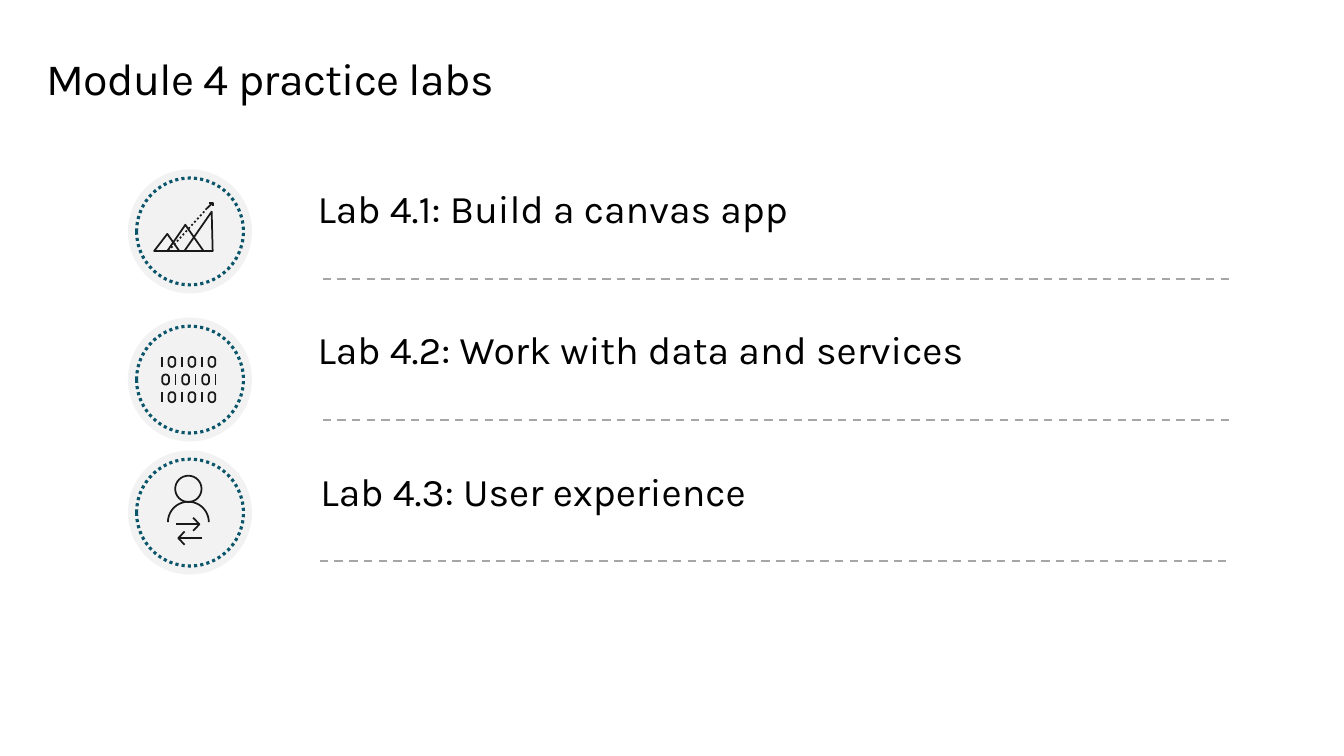
from math import cos, pi, sin

from lxml import etree
from pptx import Presentation
from pptx.dml.color import RGBColor
from pptx.enum.dml import MSO_LINE
from pptx.enum.shapes import MSO_CONNECTOR, MSO_SHAPE
from pptx.enum.text import MSO_ANCHOR
from pptx.oxml.ns import qn
from pptx.util import Pt

DASH, DOTS = MSO_LINE.DASH, MSO_LINE.ROUND_DOT
STRAIGHT, OVAL = MSO_CONNECTOR.STRAIGHT, MSO_SHAPE.OVAL
TOP, MIDDLE = MSO_ANCHOR.TOP, MSO_ANCHOR.MIDDLE
BLACK, GREY, PALE, TEAL, INK = "000000", "A6A6A6", "F2F2F2", "0B556A", "191919"
BADGE, RING, RING_INSET = 88.6, 76.3, 6.2
UNITS = 100


def color(value):
    return RGBColor.from_string(value)


def set_all(target, values):
    for name, value in values.items():
        setattr(target, name, value)


def style_line(line, value, width, dash=None):
    line.color.rgb = color(value)
    set_all(line, {"width": Pt(width), "dash_style": dash})


def add_text(s, box, text, size, anchor, insets=(0, 0, 0, 0)):
    tf = s.shapes.add_textbox(*map(Pt, box)).text_frame
    left, top, right, bottom = map(Pt, insets)
    set_all(tf, {"word_wrap": True, "vertical_anchor": anchor,
                 "margin_left": left, "margin_top": top,
                 "margin_right": right, "margin_bottom": bottom})
    p = tf.paragraphs[0]
    r = p.add_run()
    r.text = text
    set_all(r.font, {"name": "Karla", "size": Pt(size)})
    r.font.color.rgb = color(BLACK)
    return p, r


def add_title(s, box, text):
    p, r = add_text(s, box, text, 32, TOP, (0, 7.2, 11.5, 7.2))
    p.line_spacing = 0.9
    r.font._element.set("spc", "-50")


def arc(cx, cy, radius, start, end, steps=32):
    angles = [start + (end - start) * i / steps for i in range(steps + 1)]
    return [(cx + radius * cos(a), cy + radius * sin(a)) for a in angles]


def chart_icon():
    base = 58.3
    strokes = [[(left, base), peak, (right, base), (left, base)]
               for left, peak, right in ((18.7, (28.1, 46.1), 36.7),
                                         (28.1, (41, 39.6), 54),
                                         (40.3, (59.8, 30.2), 60.5))]
    for i in range(13):
        x, y = 28.8 + 2.07 * i, base - 2.27 * i
        strokes.append([(x, y), (x + 0.9, y - 1.05)])
    tip = (60.5, 23.8)
    return strokes + [[(60.5, 25.9), tip, (57.6, 23.8)], [tip, (55.4, 28.8)]]


def binary_icon():
    left, top, height, radius = 24.5, 28.1, 7.2, 2.4
    strokes = []
    for row, digits in enumerate(("101010", "010101", "101010")):
        y = top + 12.6 * row
        for col, digit in enumerate(digits):
            x = left + 14.3 * (col // 2)
            if digit == "1":
                x += 9.4 * (col % 2)
                strokes.append([(x, y), (x, y + height)])
            else:
                cx = x + radius + 4.5 * (col % 2)
                zero = (arc(cx, y + radius, radius, pi, 2 * pi, 12)
                        + arc(cx, y + height - radius, radius, 0, pi, 12))
                strokes.append(zero + zero[:1])
    return strokes


def user_icon():
    cx = 43.2
    strokes = [arc(cx, 27.4, 9.4, 0, 2 * pi), arc(cx, 51.2, 14.6, pi, 2 * pi)]
    for tail, tip, barb, y in ((34.6, 51.1, 46.6, 52.7), (52.6, 36, 40.5, 62.6)):
        strokes += [[(tail, y), (tip, y)],
                    [(barb, y - 4.7), (tip, y), (barb, y + 4.7)]]
    return strokes


def add_icon(s, left, top, strokes):
    placed = [[((left + x) * UNITS, (top + y) * UNITS) for x, y in stroke]
              for stroke in strokes]
    builder = s.shapes.build_freeform(*placed[0][0], scale=Pt(1) / UNITS)
    for i, (start, *rest) in enumerate(placed):
        if i:
            builder.move_to(*start)
        builder.add_line_segments(rest, close=False)
    sp = builder.convert_to_shape()
    sp.shadow.inherit = False
    sp.fill.background()
    style_line(sp.line, INK, 1.25)


def add_badge(s, left, top, strokes):
    group = s.shapes.add_group_shape()
    for inset, size in ((0, BADGE), (RING_INSET, RING)):
        box = (left + inset, top + inset, size, size)
        sp = group.shapes.add_shape(OVAL, *map(Pt, box))
        sp.shadow.inherit = False
        if inset:
            sp.fill.background()
            style_line(sp.line, TEAL, 2.25, DOTS)
        else:
            sp.fill.solid()
            sp.fill.fore_color.rgb = color(PALE)
            sp.line.fill.background()
    add_icon(s, left, top, strokes)


def add_lab(s, box, text, text_x, rule_x, badge_y, strokes):
    left, top, width, height = box
    add_text(s, (left + text_x, top, width, height), text, 28, MIDDLE)
    x, y = left + rule_x, top + 78
    rule = s.shapes.add_connector(STRAIGHT, *map(Pt, (x, y, x + 652, y)))
    style_line(rule.line, GREY, 1.5, DASH)
    etree.SubElement(rule._element.spPr, qn("a:effectLst"))
    add_badge(s, left, top + badge_y, strokes)


def main():
    prs = Presentation()
    set_all(prs, {"slide_width": Pt(960), "slide_height": Pt(540)})
    s = prs.slides.add_slide(prs.slide_layouts[6])
    add_title(s, (33.1, 33.1, 892.8, 53.3), "Module 4 practice labs")
    labs = (("Lab 4.1: Build a canvas app", 135.4, 139, 0, chart_icon()),
            ("Lab 4.2: Work with data and services", 135.4, 139, 5, binary_icon()),
            ("Lab 4.3: User experience", 137.5, 137, -0.8, user_icon()))
    for i, lab in enumerate(labs):
        add_lab(s, (91.4, 121 + 100.8 * i, 653.8, 55.4), *lab)
    prs.save("out.pptx")


if __name__ == "__main__":
    main()
